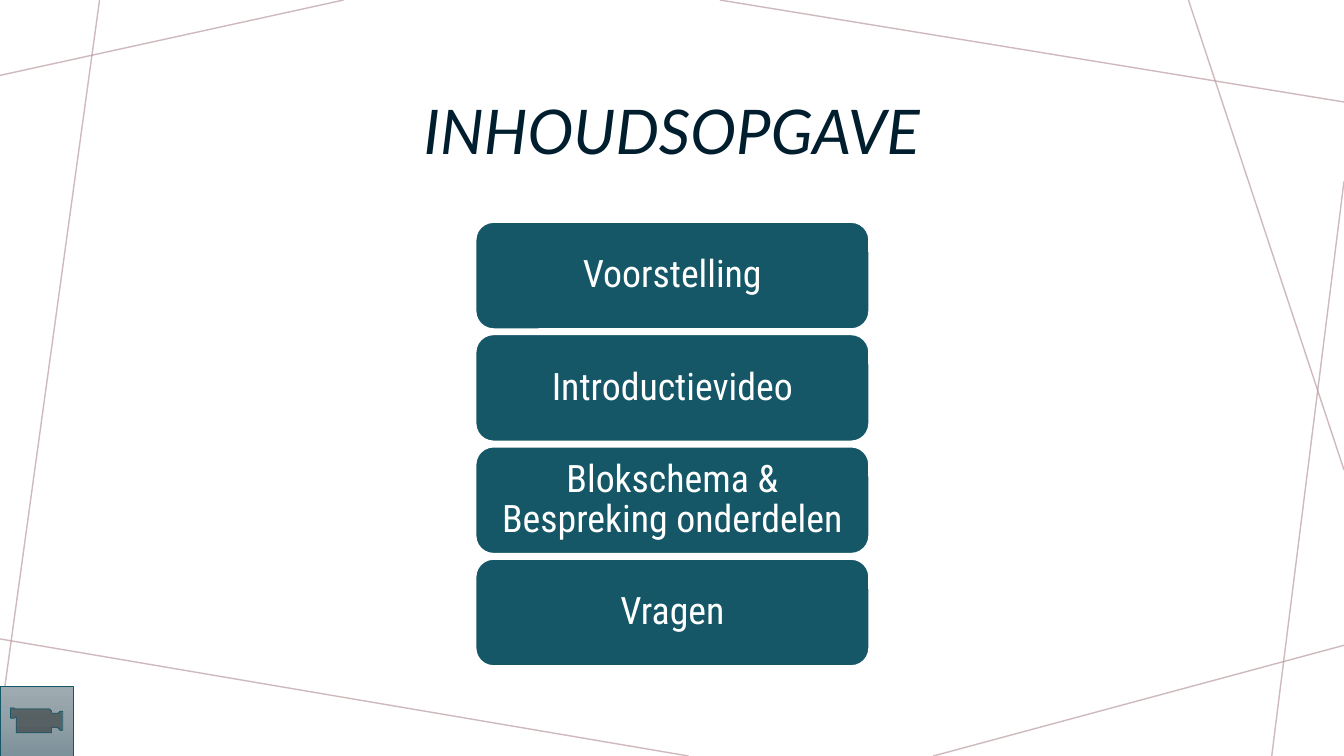
import copy
import dataclasses

import lxml.etree
import pptx
import pptx.dml.color
import pptx.enum.shapes
import pptx.enum.text
import pptx.oxml.ns
import pptx.util

Cm = pptx.util.Cm
Pt = pptx.util.Pt
qn = pptx.oxml.ns.qn
KIND = pptx.enum.shapes.MSO_SHAPE

WIDE, HIGH = 33.87, 19.05
INKS = {
    "ray": "BA9CA0",
    "title": "001E2E",
    "card": "155767",
    "white": "FFFFFF",
    "top": "9EACB2",
    "mid": "91A0A6",
    "base": "7C919A",
}


@dataclasses.dataclass
class Ray:
    x1: float
    y1: float
    x2: float
    y2: float


@dataclasses.dataclass
class Box:
    left: float
    top: float
    width: float
    height: float

    def place(self) -> tuple:
        return Cm(self.left), Cm(self.top), Cm(self.width), Cm(self.height)


RAYS = [
    Ray(8.66, 0, 0, 1.9),
    Ray(2.51, 0, 0, 18.19),
    Ray(17.35, HIGH, 0, 16.1),
    Ray(WIDE, 16.26, 23.52, HIGH),
    Ray(WIDE, 4.57, 32.05, HIGH),
    Ray(WIDE, 11.84, 29.95, 0),
    Ray(WIDE, 2.57, 18.14, 0),
]
TOPICS = [
    "Voorstelling",
    "Introductievideo",
    "Blokschema & Bespreking onderdelen",
    "Vragen",
]
CARD = Box(11.99, 5.6, 9.91, 2.69)
STEP = 2.83


def ink(name: str) -> pptx.dml.color.RGBColor:
    return pptx.dml.color.RGBColor.from_string(INKS[name])


def write(shape, text: str, *, font: str, size: float, color: str,
          slant: bool = False, pad: tuple = (0.25, 0.13)) -> None:
    frame = shape.text_frame
    frame.word_wrap = True
    frame.vertical_anchor = pptx.enum.text.MSO_ANCHOR.MIDDLE
    frame.margin_left = frame.margin_right = Cm(pad[0])
    frame.margin_top = frame.margin_bottom = Cm(pad[1])
    para = frame.paragraphs[0]
    para.alignment = pptx.enum.text.PP_ALIGN.CENTER
    para.line_spacing = 0.9
    run = para.add_run()
    run.text = text
    run.font.name = font
    run.font.size = Pt(size)
    run.font.italic = slant
    run.font.color.rgb = ink(color)


def draw_ray(slide, ray: Ray) -> None:
    line = slide.shapes.add_connector(
        pptx.enum.shapes.MSO_CONNECTOR.STRAIGHT,
        Cm(ray.x1), Cm(ray.y1), Cm(ray.x2), Cm(ray.y2))
    line.line.width = Pt(1)
    line.line.color.rgb = ink("ray")
    props = line._element.spPr
    tint = props.find(".//" + qn("a:srgbClr"))
    lxml.etree.SubElement(tint, qn("a:alpha"), val="70000")
    lxml.etree.SubElement(props, qn("a:effectLst"))


def add_form(slide, kind, box: Box, edge: str, width: float):
    form = slide.shapes.add_shape(kind, *box.place())
    form.shadow.inherit = False
    form.line.color.rgb = ink(edge)
    form.line.width = Pt(width)
    return form


def draw_card(slide, index: int, topic: str) -> None:
    box = dataclasses.replace(CARD, top=CARD.top + index * STEP)
    card = add_form(slide, KIND.ROUNDED_RECTANGLE, box, "white", 1)
    card.fill.solid()
    card.fill.fore_color.rgb = ink("card")
    write(card, topic, font="Roboto Condensed", size=27, color="white",
          pad=(0.28, 0.15))


def draw_movie(slide) -> None:
    box = Box(0, 17.3, 1.85, 1.75)
    movie = add_form(slide, KIND.ACTION_BUTTON_MOVIE, box, "card", 0.5)
    movie.fill.gradient()
    movie.fill.gradient_angle = 270
    stops = movie._element.spPr.find(".//" + qn("a:gsLst"))
    stops.insert(1, copy.deepcopy(stops[0]))
    shades = zip(movie.fill.gradient_stops, ("top", "mid", "base"), (0, 0.5, 1))
    for stop, name, place in shades:
        stop.color.rgb = ink(name)
        stop.position = place


def main() -> None:
    deck = pptx.Presentation()
    deck.slide_width, deck.slide_height = Cm(WIDE), Cm(HIGH)
    slide = deck.slides.add_slide(deck.slide_layouts[6])
    slide.background.fill.solid()
    slide.background.fill.fore_color.rgb = ink("white")
    for ray in RAYS:
        draw_ray(slide, ray)
    title = slide.shapes.add_textbox(*Box(3.18, 1.47, 27.51, 3.84).place())
    write(title, "INHOUDSOPGAVE", font="Lato", size=44, color="title", slant=True)
    for index, topic in enumerate(TOPICS):
        draw_card(slide, index, topic)
    draw_movie(slide)
    deck.save("out.pptx")


if __name__ == "__main__":
    main()
